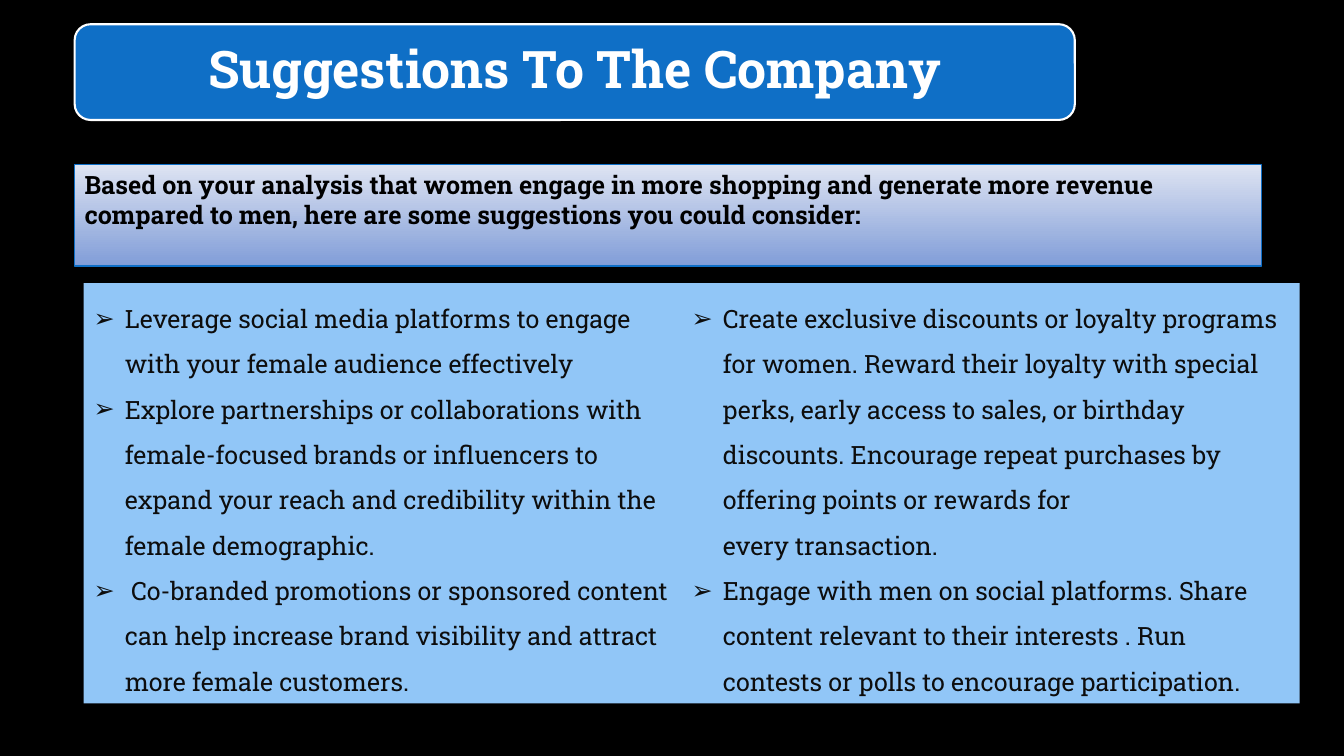
from dataclasses import dataclass

from lxml.etree import SubElement
from pptx import Presentation
from pptx.dml.color import RGBColor
from pptx.enum.shapes import MSO_SHAPE as Shape
from pptx.enum.text import MSO_ANCHOR as Anchor, MSO_AUTO_SIZE as AutoSize, PP_ALIGN as Align
from pptx.oxml.ns import qn
from pptx.util import Inches, Pt


@dataclass(frozen=True)
class Theme:
    """Colours, font and type sizes of the slide."""
    background: RGBColor = RGBColor.from_string("000000")
    accent: RGBColor = RGBColor.from_string("0F6FC6")
    white: RGBColor = RGBColor.from_string("FFFFFF")
    black: RGBColor = RGBColor.from_string("000000")
    ink: RGBColor = RGBColor.from_string("0D0D0D")
    panel: RGBColor = RGBColor.from_string("91C6F7")
    gradient_top: RGBColor = RGBColor.from_string("DEE4F2")
    gradient_bottom: RGBColor = RGBColor.from_string("819DD8")
    font: str = "Roboto Slab"
    title_size: int = 37
    body_size: int = 18


THEME = Theme()
NBSP = chr(160)
TITLE = "Suggestions To The Company"
INTRO = ("Based on your analysis that women engage in more shopping and generate more "
         f"revenue compared to men, here are some suggestions you{NBSP}could{NBSP}consider:")
SUGGESTIONS = [
    f"Leverage social media platforms to engage with your female audience{NBSP}effectively",
    "Explore partnerships or collaborations with female-focused brands or influencers to "
    "expand your reach and credibility within the female demographic.",
    " Co-branded promotions or sponsored content can help increase brand visibility and "
    "attract more female customers.",
    "Create exclusive discounts or loyalty programs for women. Reward their loyalty with "
    "special perks, early access to sales, or birthday discounts. Encourage repeat purchases "
    f"by offering points or rewards for every{NBSP}transaction.",
    "Engage with men on social platforms. Share content relevant to their interests . Run "
    "contests or polls to encourage participation.",
]


def add_box(slide, kind, box):
    """Add a shadowless shape at box, given as left, top, width, height in inches."""
    shape = slide.shapes.add_shape(kind, *map(Inches, box))
    shape.shadow.inherit = False
    return shape


def write(text_frame, texts, size, color, bold=False, align=Align.LEFT, spacing=1.0):
    """Fill a text frame with one formatted paragraph per text."""
    text_frame.word_wrap = True
    text_frame.text = "\n".join(texts)
    for paragraph in text_frame.paragraphs:
        paragraph.alignment = align
        paragraph.line_spacing = spacing
        for run in paragraph.runs:
            font = run.font
            font.name, font.size, font.bold = THEME.font, Pt(size), bold
            font.color.rgb = color


def add_bullet(paragraph, character, indent):
    """Give a paragraph a hanging bullet."""
    properties = paragraph._p.get_or_add_pPr()
    properties.set("marL", str(Inches(indent)))
    properties.set("indent", str(-Inches(indent)))
    SubElement(properties, qn("a:buFont"), typeface="Arial")
    SubElement(properties, qn("a:buChar"), char=character)


def build_title(slide, box):
    """Place the title on a rounded banner."""
    banner = add_box(slide, Shape.ROUNDED_RECTANGLE, box)
    banner.fill.solid()
    banner.fill.fore_color.rgb = THEME.accent
    banner.line.color.rgb = THEME.white
    banner.line.width = Pt(1.5)

    title = slide.shapes.title
    title._element.addprevious(banner._element)
    left, top, width, height = box
    inset = 0.05
    title.left, title.top = Inches(left + inset), Inches(top + inset)
    title.width, title.height = Inches(width - 2 * inset), Inches(height - 2 * inset)
    text_frame = title.text_frame
    text_frame.auto_size = AutoSize.NONE
    text_frame.vertical_anchor = Anchor.MIDDLE
    write(text_frame, [TITLE], THEME.title_size, THEME.white, True, Align.CENTER, 0.9)


def build_intro(slide, box):
    """Place the introduction on a vertical gradient."""
    intro = add_box(slide, Shape.RECTANGLE, box)
    intro.fill.gradient()
    intro.fill.gradient_angle = 270
    for stop, color in zip(intro.fill.gradient_stops,
                           (THEME.gradient_top, THEME.gradient_bottom)):
        stop.color.rgb = color
    intro.line.color.rgb = THEME.accent
    intro.line.width = Pt(1)
    intro.text_frame.vertical_anchor = Anchor.TOP
    write(intro.text_frame, [INTRO], THEME.body_size, THEME.black, True)


def build_suggestions(slide, box):
    """Place the bulleted suggestions in a two-column panel."""
    panel = add_box(slide, Shape.RECTANGLE, box)
    panel.fill.solid()
    panel.fill.fore_color.rgb = THEME.panel
    panel.line.fill.background()
    text_frame = panel.text_frame
    text_frame.vertical_anchor = Anchor.TOP
    text_frame._txBody.bodyPr.set("numCol", "2")
    write(text_frame, SUGGESTIONS, THEME.body_size, THEME.ink, spacing=1.5)
    for paragraph in text_frame.paragraphs:
        add_bullet(paragraph, "➢", 0.31)


def main():
    """Build and save the presentation."""
    presentation = Presentation()
    presentation.slide_width, presentation.slide_height = Inches(13.33), Inches(7.5)
    slide = presentation.slides.add_slide(presentation.slide_layouts.get_by_name("Title Only"))
    slide.background.fill.solid()
    slide.background.fill.fore_color.rgb = THEME.background
    build_title(slide, (0.74, 0.24, 9.92, 0.95))
    build_intro(slide, (0.74, 1.63, 11.77, 1.01))
    build_suggestions(slide, (0.83, 2.81, 12.06, 4.17))
    presentation.save("out.pptx")


if __name__ == "__main__":
    main()
